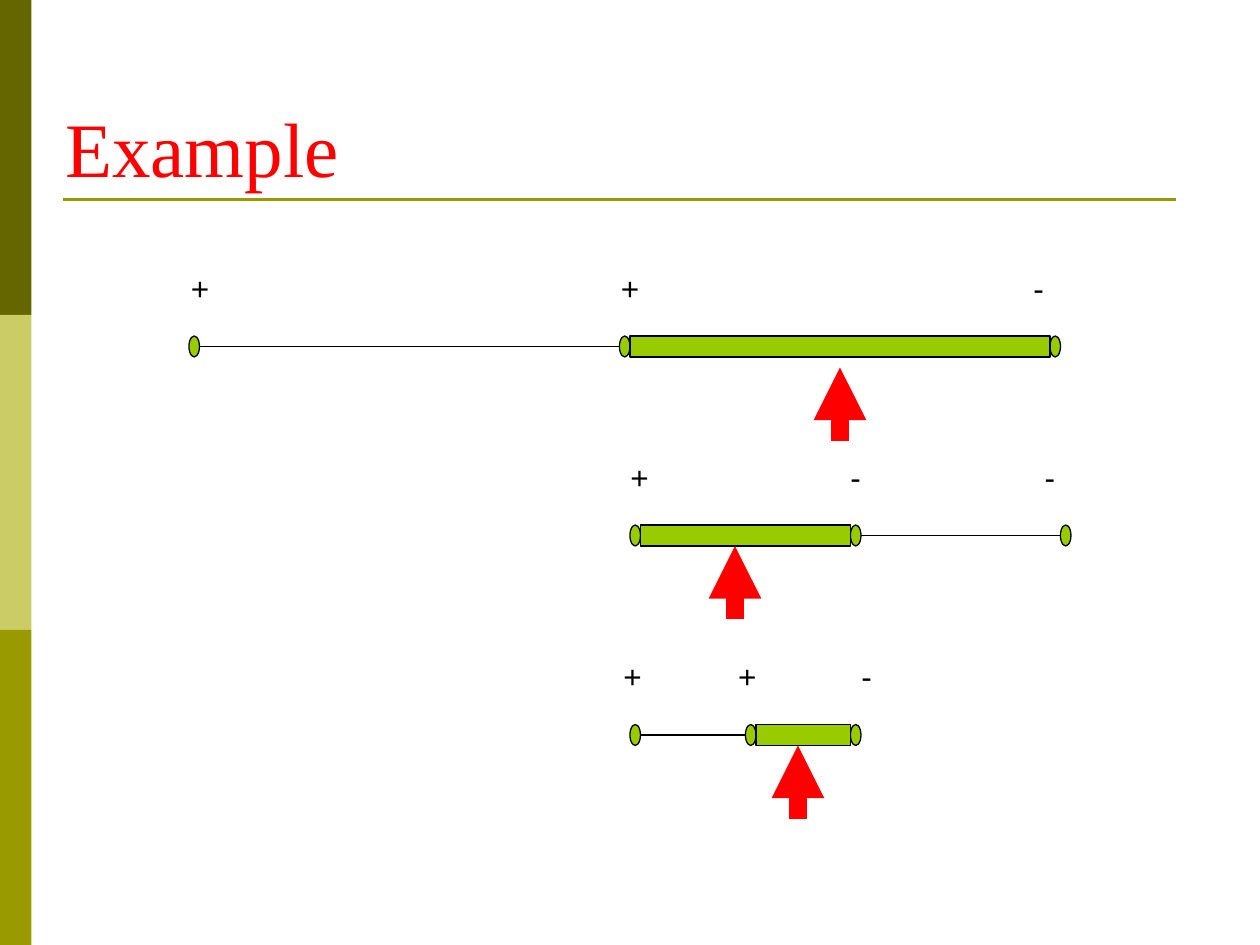
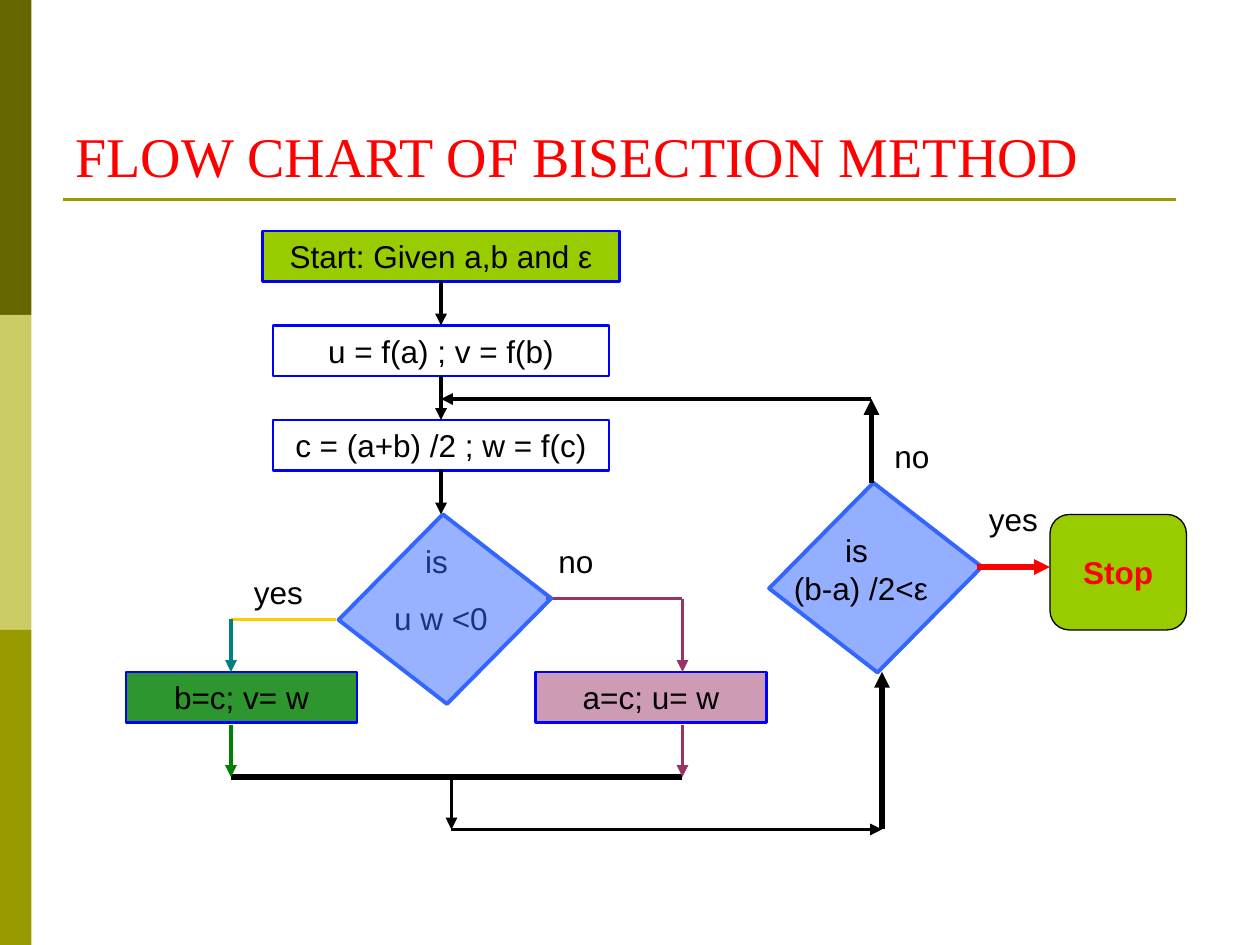
import pptx
import pptx.util
import pptx.dml.color
import pptx.enum.shapes
import pptx.enum.text
import pptx.oxml
import pptx.oxml.ns

Pt = pptx.util.Pt
RGB = pptx.dml.color.RGBColor
SHAPE = pptx.enum.shapes.MSO_SHAPE
ALIGN = pptx.enum.text.PP_ALIGN
ANCHOR = pptx.enum.text.MSO_ANCHOR
NS = pptx.oxml.ns.nsdecls("a")

OLIVE_DARK = RGB(0x66, 0x66, 0x00)
OLIVE_LIGHT = RGB(0xCC, 0xCC, 0x66)
OLIVE = RGB(0x99, 0x99, 0x00)
LIME = RGB(0x99, 0xCC, 0x00)
RED = RGB(0xFF, 0x00, 0x00)
BLACK = RGB(0x00, 0x00, 0x00)
BLUE = RGB(0x00, 0x00, 0xFF)
SKY = RGB(0x33, 0x66, 0xFF)
PLUM = RGB(0x99, 0x33, 0x66)
GREEN = RGB(0x00, 0x80, 0x00)
TEAL = RGB(0x00, 0x80, 0x80)
GOLD = RGB(0xFF, 0xCC, 0x00)

BOX_H = 28.8


class Deck:
    title_font = "Times New Roman"
    body_font = "Arial"
    body_size = 18

    def __init__(self):
        self.prs = pptx.Presentation()
        self.prs.slide_width, self.prs.slide_height = Pt(720), Pt(540)
        self.layout = self.prs.slide_layouts[5]
        self.slide = None

    def new_slide(self, title, left, top, size):
        self.slide = self.prs.slides.add_slide(self.layout)
        self.bands()
        sp = self.slide.shapes.title
        sp.left, sp.top, sp.width, sp.height = Pt(left), Pt(top), Pt(648), Pt(90)
        tf = sp.text_frame
        tf.text = title
        tf.vertical_anchor = ANCHOR.BOTTOM
        tf.auto_size = pptx.enum.text.MSO_AUTO_SIZE.NONE
        p = tf.paragraphs[0]
        p.alignment = ALIGN.LEFT
        self.font(p, RED, size, self.title_font)

    def bands(self):
        for i, color in enumerate((OLIVE_DARK, OLIVE_LIGHT, OLIVE)):
            self.shape(SHAPE.RECTANGLE, 0, 180 * i, 18, 180, color)
        self.line(36, 114, 672, 114, OLIVE, 1.5)

    def font(self, p, color=BLACK, size=body_size, name=body_font, bold=False):
        for r in p.runs:
            f = r.font
            f.name, f.size, f.bold = name, Pt(size), bold
            f.color.rgb = color

    def shape(self, kind, left, top, width, height, fill=None, line=None,
              weight=0.75, alpha=None):
        sp = self.slide.shapes.add_shape(
            kind, Pt(left), Pt(top), Pt(width), Pt(height))
        sp.shadow.inherit = False
        if fill is None:
            sp.fill.background()
        else:
            sp.fill.solid()
            sp.fill.fore_color.rgb = fill
        if alpha is not None:
            color = sp.element.spPr.find(pptx.oxml.ns.qn("a:solidFill"))[0]
            color.append(pptx.oxml.parse_xml(
                f'<a:alpha {NS} val="{alpha * 1000}"/>'))
        if line is None:
            sp.line.fill.background()
        else:
            sp.line.color.rgb = line
            sp.line.width = Pt(weight)
        return sp

    def label(self, sp, lines, align, color=BLACK, bold=False, gap=0):
        tf = sp.text_frame
        tf.word_wrap = True
        tf.text = "\n".join(lines)
        for i, p in enumerate(tf.paragraphs):
            p.alignment = align
            if i and gap:
                p.space_before = Pt(gap)
            self.font(p, color, bold=bold)
        return sp

    def text(self, left, top, width, height, *lines, align=ALIGN.LEFT, gap=0):
        sp = self.slide.shapes.add_textbox(
            Pt(left), Pt(top), Pt(width), Pt(height))
        return self.label(sp, lines, align, gap=gap)

    def tabbed(self, left, top, width, height, text, stops):
        sp = self.text(left, top, width, height, "")
        p = sp.text_frame.paragraphs[0]
        tabs = "".join(f'<a:tab pos="{Pt(x)}" algn="l"/>' for x in stops)
        p._p.get_or_add_pPr().append(
            pptx.oxml.parse_xml(f"<a:tabLst {NS}>{tabs}</a:tabLst>"))
        p.text = text
        self.font(p)

    def box(self, left, top, width, text, fill=None, alpha=None):
        sp = self.shape(SHAPE.RECTANGLE, left, top, width, BOX_H,
                        fill, BLUE, 1.5, alpha)
        return self.label(sp, [text], ALIGN.CENTER)

    def decision(self, left, top, alpha):
        sp = self.shape(SHAPE.PARALLELOGRAM, left, top, 88.5, 84.2,
                        SKY, SKY, 2.25, alpha)
        sp.adjustments[0] = 0.12
        sp.rotation = 37.8

    def line(self, x1, y1, x2, y2, color=BLACK, weight=2.25, arrow=False):
        cx = self.slide.shapes.add_connector(
            pptx.enum.shapes.MSO_CONNECTOR.STRAIGHT,
            Pt(x1), Pt(y1), Pt(x2), Pt(y2))
        cx.line.color.rgb = color
        cx.line.width = Pt(weight)
        props = cx.element.spPr
        if arrow:
            props.get_or_add_ln().append(
                pptx.oxml.parse_xml(f'<a:tailEnd {NS} type="triangle"/>'))
        props.append(pptx.oxml.parse_xml(f"<a:effectLst {NS}/>"))
        return cx

    def arrow(self, x1, y1, x2, y2, color=BLACK, weight=2.25):
        return self.line(x1, y1, x2, y2, color, weight, True)

    def interval(self, top, dots, bar):
        self.line(dots[0], top + 6, dots[-1] + 6, top + 6, BLACK, 0.75)
        for x in dots:
            self.shape(SHAPE.OVAL, x, top, 6, 12, LIME, BLACK)
        left, right = dots[bar] + 6, dots[bar + 1]
        self.shape(SHAPE.RECTANGLE, left, top, right - left, 12, LIME, BLACK)


def example(deck):
    deck.new_slide("Example", 30, 24, 44)
    deck.tabbed(102, 150, 510, 50, "+\t+\t-", (245.7, 481.4))
    deck.tabbed(108, 258, 510, 50, "\t+\t-\t-", (245.2, 370.8, 481.9))
    deck.tabbed(174, 372, 450, BOX_H, "\t+\t+\t-", (175.1, 240.7, 311.2))
    rows = ((192, (108, 354, 600), 1, 480, 210),
            (300, (360, 486, 606), 0, 420, 312),
            (414, (360, 426, 486), 1, 456, 426))
    for top, dots, bar, midpoint, tip in rows:
        deck.interval(top, dots, bar)
        deck.arrow(midpoint, tip + 42, midpoint, tip, RED, 10)


def flow_chart(deck):
    deck.new_slide("FLOW CHART OF BISECTION METHOD", 36, 21.6, 32)
    start = deck.box(150, 132, 204, "Start: Given a,b and ε", LIME)
    ends = deck.box(156, 186, 192, "u = f(a) ; v = f(b)")
    middle = deck.box(156, 240, 192, "c = (a+b) /2 ; w = f(c)")
    deck.box(306, 384, 132, "a=c; u= w", PLUM, 49)
    deck.box(72, 384, 132, "b=c; v= w", GREEN, 82)

    for upper, lower, top in ((start, ends, 162), (ends, middle, 216),
                              (middle, None, 270)):
        cx = deck.arrow(252, top, 252, top + 24)
        cx.begin_connect(upper, 2)
        if lower is not None:
            cx.end_connect(lower, 0)

    deck.decision(456, 288, 52)
    deck.text(216, 306, 72, 62, "is ", "u w <0", align=ALIGN.CENTER, gap=11.2)
    deck.line(312, 342, 390, 342, PLUM)
    deck.arrow(390, 342, 390, 384, PLUM)
    deck.line(192, 354, 132, 354, GOLD)
    deck.arrow(132, 354, 132, 384, TEAL)
    deck.line(132, 444, 390, 444, weight=3)
    deck.arrow(132, 414, 132, 444, GREEN)
    deck.arrow(390, 414, 390, 444, PLUM)
    deck.arrow(258, 444, 258, 474)
    deck.arrow(258, 474, 504, 474)
    deck.arrow(504, 474, 504, 384, weight=3)
    deck.arrow(498, 228, 252, 228)
    deck.decision(210, 306, 50)
    deck.arrow(498, 276, 498, 228, weight=3)
    deck.text(444, 300, 96, 50, "is ", "(b-a) /2<ε", align=ALIGN.CENTER)

    for answer, left, top in (("yes", 138, 324), ("yes", 558, 282),
                              ("no", 312, 306), ("no", 504, 246)):
        deck.text(left, top, 78, BOX_H, answer)

    stop = deck.shape(SHAPE.ROUNDED_RECTANGLE, 600, 294, 78, 66, LIME, BLACK)
    deck.label(stop, ["Stop"], ALIGN.CENTER, RED, True)
    deck.arrow(558, 324, 600, 324, RED, 3)


def main():
    deck = Deck()
    example(deck)
    flow_chart(deck)
    deck.prs.save("out.pptx")


if __name__ == "__main__":
    main()
